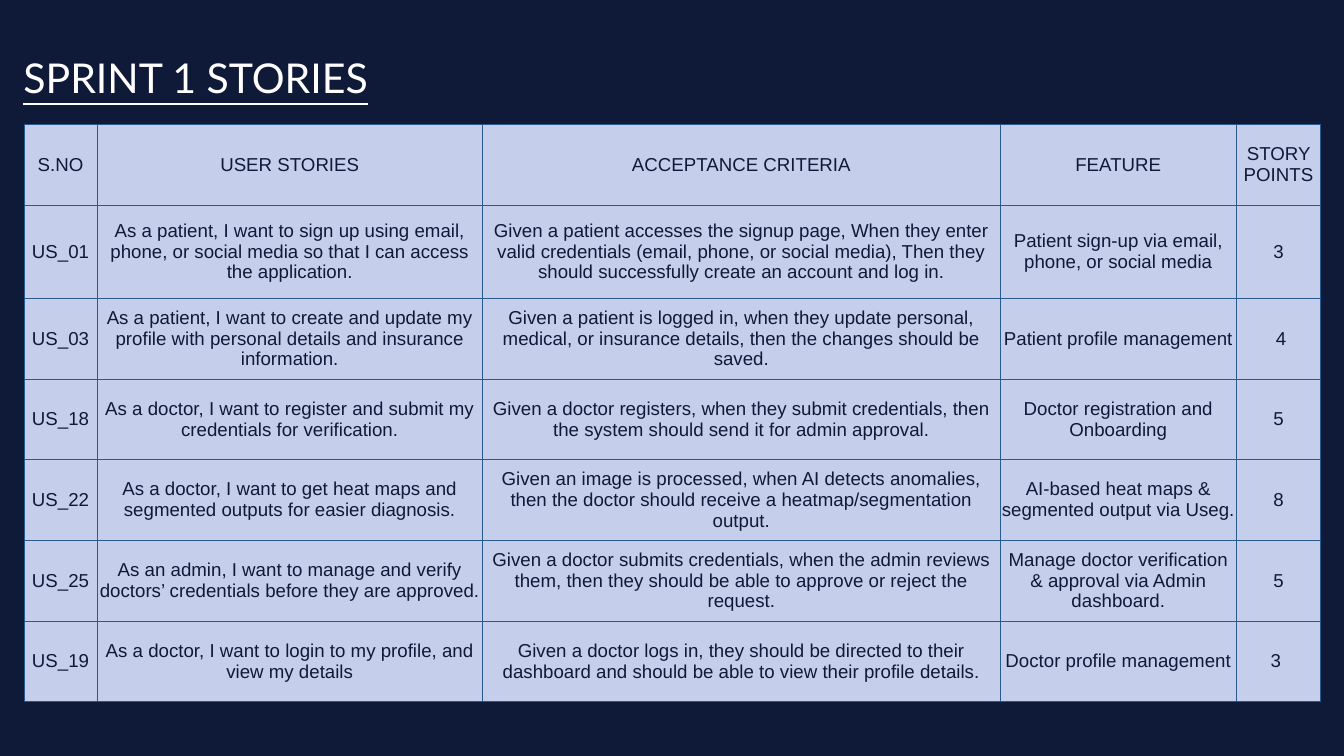
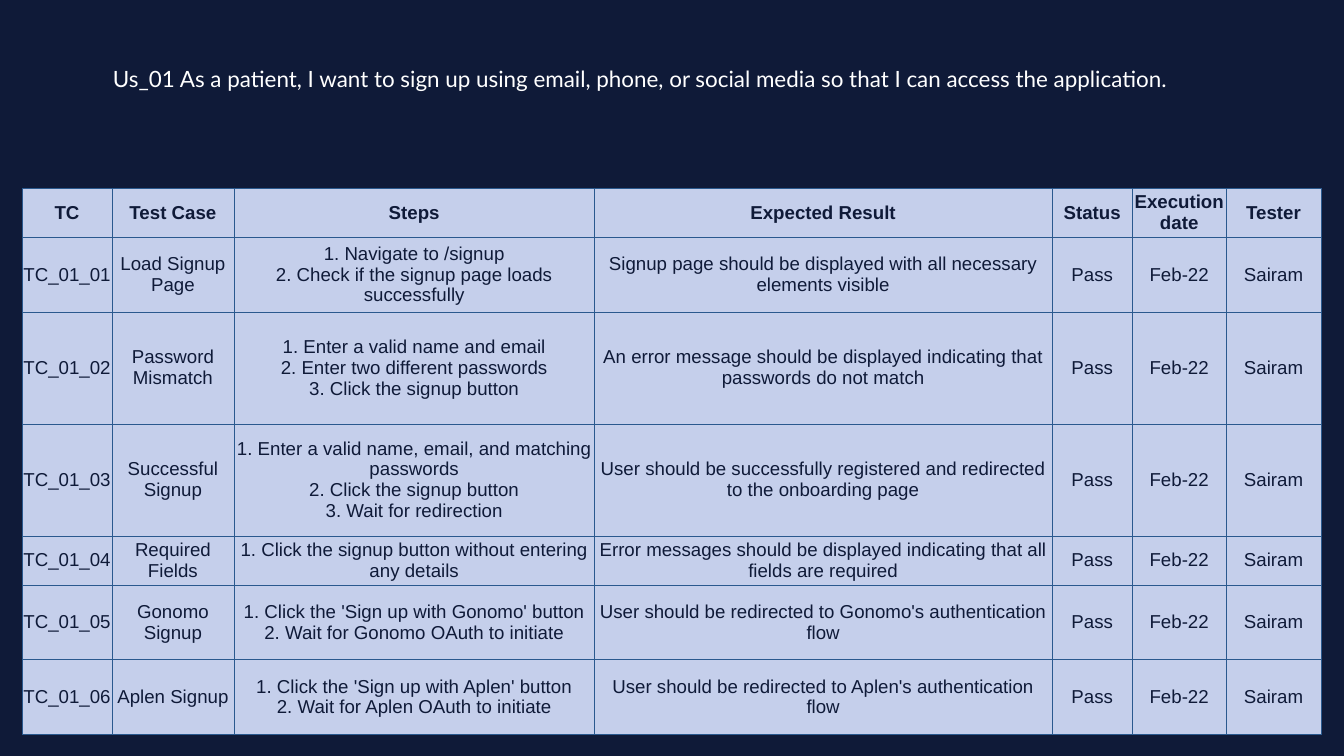
import pptx
import pptx.dml.color
import pptx.enum.text
import pptx.oxml
import pptx.oxml.ns
import pptx.util
from dataclasses import dataclass

Pt = pptx.util.Pt
ALIGN = pptx.enum.text.PP_ALIGN
MIDDLE = pptx.enum.text.MSO_ANCHOR.MIDDLE


@dataclass(frozen=True)
class Theme:
    back: str = "0F1A38"
    cell: str = "C5CFEB"
    rule: str = "2A598E"
    ink: str = "0F1A38"
    light: str = "FFFFFF"
    head: str = "Lato"
    body: str = "Arial"
    big: int = 44
    mid: int = 24
    text: int = 20
    line: float = 0.75


THEME = Theme()

# Slide content
STORIES = [
    ("S.NO", "USER STORIES", "ACCEPTANCE CRITERIA", "FEATURE", "STORY POINTS"),
    ("US_01",
     "As a patient, I want to sign up using email, phone, or social media "
     "so that I can access the application.",
     "Given a patient accesses the signup page, When they enter valid credentials "
     "(email, phone, or social media), Then they should successfully create "
     "an account and log in.",
     "Patient sign-up via email, phone, or social media", "3"),
    ("US_03",
     "As a patient, I want to create and update my profile with personal details "
     "and insurance information.",
     "Given a patient is logged in, when they update personal, medical, "
     "or insurance details, then the changes should be saved.",
     "Patient profile management", " 4"),
    ("US_18",
     "As a doctor, I want to register and submit my credentials for verification.",
     "Given a doctor registers, when they submit credentials, "
     "then the system should send it for admin approval.",
     "Doctor registration and Onboarding", "5"),
    ("US_22",
     "As a doctor, I want to get heat maps and segmented outputs "
     "for easier diagnosis.",
     "Given an image is processed, when AI detects anomalies, "
     "then the doctor should receive a heatmap/segmentation output.",
     "AI-based heat maps & segmented output via Useg.", "8"),
    ("US_25",
     "As an admin, I want to manage and verify doctors’ credentials "
     "before they are approved.",
     "Given a doctor submits credentials, when the admin reviews them, "
     "then they should be able to approve or reject the request.",
     "Manage doctor verification & approval via Admin dashboard.", "5"),
    ("US_19",
     "As a doctor, I want to login to my profile, and view my details",
     "Given a doctor logs in, they should be directed to their dashboard "
     "and should be able to view their profile details.",
     "Doctor profile management", "3 "),
]

CASES = [
    ("Load Signup Page",
     ["Navigate to /signup", "Check if the signup page loads successfully"],
     "Signup page should be displayed with all necessary elements visible"),
    ("Password Mismatch",
     ["Enter a valid name and email", "Enter two different passwords",
      "Click the signup button"],
     "An error message should be displayed indicating that passwords do not match"),
    ("Successful Signup",
     ["Enter a valid name, email, and matching passwords",
      "Click the signup button", "Wait for redirection"],
     "User should be successfully registered and redirected to the onboarding page"),
    ("Required Fields",
     ["Click the signup button without entering any details"],
     "Error messages should be displayed indicating that all fields are required"),
    *[(f"{name} Signup",
       [f"Click the 'Sign up with {name}' button", f"Wait for {name} OAuth to initiate"],
       f"User should be redirected to {name}'s authentication flow")
      for name in ("Gonomo", "Aplen")],
]


def case_rows():
    rows = [("TC", "Test Case", "Steps", "Expected Result",
             "Status", "Execution date", "Tester")]
    for num, (name, steps, result) in enumerate(CASES, 1):
        # A vertical tab becomes a line break within the paragraph
        list_text = "\v".join(f"{i}. {step}" for i, step in enumerate(steps, 1))
        rows.append((f"TC_01_{num:02}", name, list_text, result,
                     "Pass", "Feb-22", "Sairam"))
    return rows


# Shared helpers
def rgb(code):
    return pptx.dml.color.RGBColor.from_string(code)


def apply(item, values):
    for key, value in values.items():
        setattr(item, key, value)


def write(frame, text, align, color, **font):
    frame.text = text
    for para in frame.paragraphs:
        para.alignment = align
        for run in para.runs:
            apply(run.font, font)
            run.font.color.rgb = rgb(color)


def add_slide(deck):
    slide = deck.slides.add_slide(deck.slide_layouts[6])
    slide.background.fill.solid()
    slide.background.fill.fore_color.rgb = rgb(THEME.back)
    return slide


def add_title(slide, text, place, size, align=ALIGN.LEFT, under=None, foot=3.6):
    frame = slide.shapes.add_textbox(*map(Pt, place)).text_frame
    apply(frame, dict(word_wrap=True, vertical_anchor=MIDDLE,
                      margin_bottom=Pt(foot)))
    write(frame, text, align, THEME.light,
          name=THEME.head, size=Pt(size), underline=under)


def add_border(cell):
    props = cell._tc.get_or_add_tcPr()
    space = pptx.oxml.ns.nsdecls("a")
    for spot, side in enumerate(("lnL", "lnR", "lnT", "lnB")):
        props.insert(spot, pptx.oxml.parse_xml(
            f'<a:{side} {space} w="{Pt(THEME.line)}"><a:solidFill>'
            f'<a:srgbClr val="{THEME.rule}"/></a:solidFill></a:{side}>'))


def add_grid(slide, rows, left, top, widths, heights, bold=False):
    frame = slide.shapes.add_table(
        len(rows), len(widths), Pt(left), Pt(top),
        Pt(sum(widths)), Pt(sum(heights)))
    table = frame.table
    apply(table, dict(first_row=False, horz_banding=False))
    for col, width in zip(table.columns, widths):
        col.width = Pt(width)
    for line, height in zip(table.rows, heights):
        line.height = Pt(height)
    edges = dict.fromkeys(
        ("margin_left", "margin_right", "margin_top", "margin_bottom"), 0)
    for r, row in enumerate(rows):
        for c, text in enumerate(row):
            cell = table.cell(r, c)
            apply(cell, dict(edges, vertical_anchor=MIDDLE))
            cell.fill.solid()
            cell.fill.fore_color.rgb = rgb(THEME.cell)
            add_border(cell)
            write(cell.text_frame, text, ALIGN.CENTER, THEME.ink,
                  name=THEME.body, size=Pt(THEME.text), bold=bold and r == 0)


def main():
    deck = pptx.Presentation()
    apply(deck, dict(slide_width=Pt(1440), slide_height=Pt(810)))

    # Sprint stories
    slide = add_slide(deck)
    add_title(slide, "SPRINT 1 STORIES", (18, 24.5, 945, 116), THEME.big, under=True)
    add_grid(slide, STORIES, 26, 133.2,
             [77.8, 413.3, 554.4, 253.4, 90], [86.4, 100] + [86.4] * 5)

    # Test cases of the first story
    slide = add_slide(deck)
    add_title(slide, f"Us_01 {STORIES[1][1]}", (23.8, 41, 1323.4, 116),
              THEME.mid, ALIGN.CENTER, foot=32.4)
    add_grid(slide, case_rows(), 23.8, 201.6,
             [96, 131, 386, 490.3, 86.4, 100, 102.2],
             [52.6, 80, 120, 120, 52.6, 80, 80], bold=True)

    deck.save("out.pptx")


if __name__ == "__main__":
    main()
